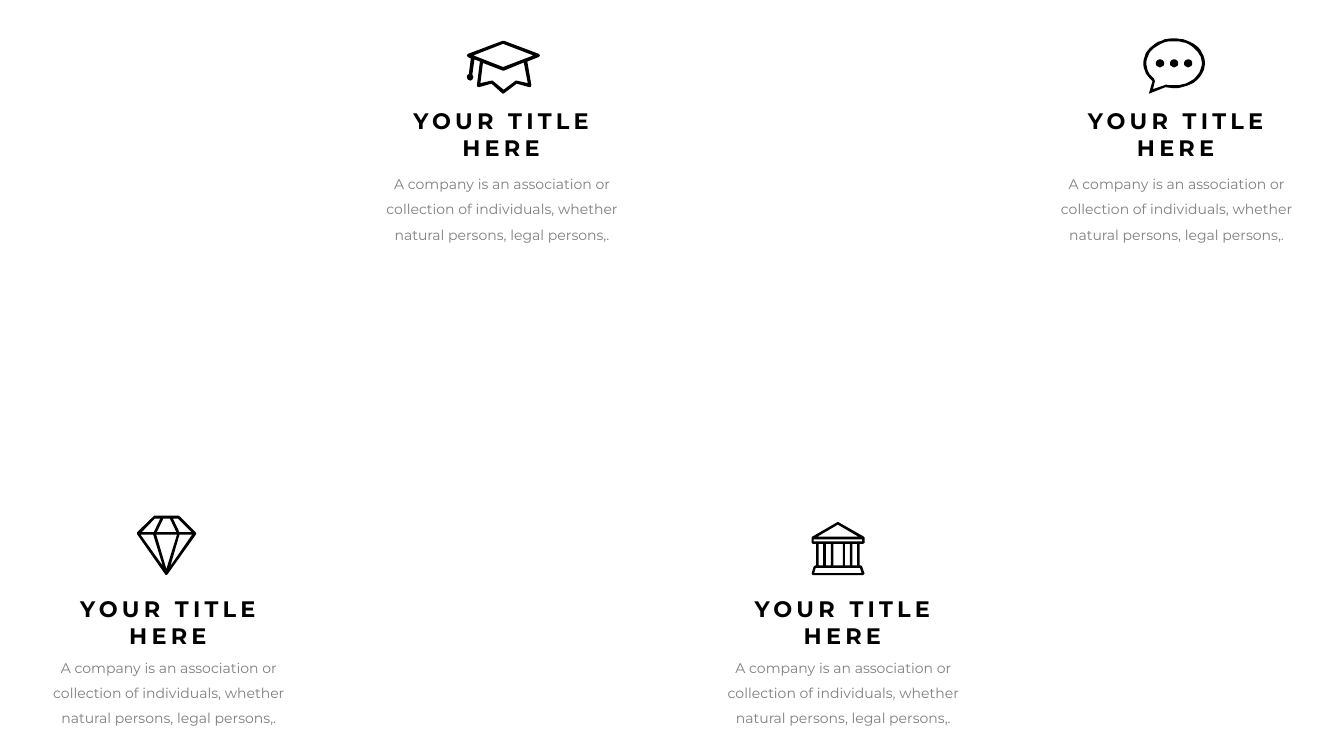
import math
from pptx import Presentation, util as u
from pptx.dml.color import RGBColor
from pptx.enum import text

COLORS = {"ink": "000000", "body": "7F7F7F", "paper": "FFFFFF"}
FONT = "Montserrat"
SLIDE_W, SLIDE_H = 26.66, 15
PAIR_PITCH = 13.38
BODY_W, BODY_H = 5.24, 1.61
TITLE_W, TITLE_H = 3.72, 1.18
ICON_UNIT = 0.01

TITLE = ["YOUR TITLE", "HERE"]
BODY = ["A company is an association or collection of individuals, "
        "whether natural persons, legal persons,."]


def box(left, top, right, bottom):
    return [(left, top), (right, top), (right, bottom), (left, bottom)]


def arc(cx, cy, rx, ry, start=0, end=360, steps=48):
    angles = [math.radians(start + (end - start) * i / steps) for i in range(steps + 1)]
    return [(cx + rx * math.cos(a), cy + ry * math.sin(a)) for a in angles]


GEM = [
    [(117, 35), (116, 33), (85, 2), (82, 0), (34, 0), (32, 2), (0, 33), (0, 37),
     (56, 117), (58, 118), (60, 117), (117, 37)],
    [(66, 100), (84, 38), (109, 38)],
    [(58, 106), (38, 38), (79, 38)],
    [(7, 38), (32, 38), (51, 100)],
    [(35, 6), (46, 6), (33, 33), (9, 33)],
    [(65, 6), (78, 33), (39, 33), (52, 6)],
    [(81, 6), (108, 33), (84, 33), (71, 6)],
]
CAP = [
    [(145, 29), (143, 26), (74, 0), (71, 0), (2, 26), (0, 29), (2, 32), (8, 35),
     (4, 66), (1, 68), (0, 72), (2, 77), (7, 79), (11, 77), (13, 72), (11, 67),
     (15, 37), (26, 41), (20, 88), (21, 91), (24, 92), (49, 85), (70, 104),
     (72, 105), (74, 104), (99, 85), (124, 92), (127, 91), (128, 88), (120, 41),
     (143, 32)],
    [(72, 52), (13, 29), (72, 6), (132, 29)],
    [(121, 84), (99, 79), (97, 79), (73, 97), (51, 79), (49, 79), (27, 84),
     (32, 44), (71, 59), (74, 59), (113, 43)],
]
BANK = [
    [(102, 43), (105, 41), (105, 31), (104, 29), (53, 0), (51, 0), (1, 29), (0, 31),
     (0, 41), (2, 43), (9, 43), (9, 86), (7, 86), (4, 88), (0, 102), (2, 105),
     (102, 105), (105, 102), (100, 88), (98, 86), (95, 86), (95, 43)],
    [(52, 5), (93, 29), (11, 29)],
    box(4, 34, 100, 38),
    [(96, 91), (99, 101), (5, 101), (8, 91)],
] + [box(left, 43, right, 86)
     for left, right in [(14, 23), (28, 38), (43, 62), (66, 76), (81, 90)]]
BUBBLE = [
    arc(61, 49.5, 61, 49.5, 135, 466) + [(11, 110)],
    arc(61, 49.5, 55, 44, 136, 467) + [(19, 101), (23, 85)],
] + [arc(x, 49.5, 8, 8, steps=24) for x in (33, 61, 89)]

ROWS = {
    "top": {"left": 7.34, "icon_bottom": 1.86, "title": 2.08, "body": 3.27},
    "bottom": {"left": 0.73, "icon_bottom": 11.41, "title": 11.76, "body": 12.87},
}
CARDS = [
    {"row": "bottom", "pair": 0, "icon": GEM, "icon_inset": 1.99},
    {"row": "bottom", "pair": 1, "icon": BANK, "icon_inset": 1.99},
    {"row": "top", "pair": 0, "icon": CAP, "icon_inset": 1.92},
    {"row": "top", "pair": 1, "icon": BUBBLE, "icon_inset": 1.96},
]


def add_text(slide, lines, left, top, width, height, size, color,
             bold=False, spacing=None, tracking=0, wrap=True):
    label = slide.shapes.add_textbox(*map(u.Inches, (left, top, width, height)))
    frame = label.text_frame
    frame.word_wrap = wrap
    frame.auto_size = text.MSO_AUTO_SIZE.SHAPE_TO_FIT_TEXT
    for i, line in enumerate(lines):
        paragraph = frame.paragraphs[0] if i == 0 else frame.add_paragraph()
        paragraph.alignment = text.PP_ALIGN.CENTER
        if spacing:
            paragraph.line_spacing = spacing
        run = paragraph.add_run()
        run.text = line
        run.font.name = FONT
        run.font.size = u.Pt(size)
        run.font.bold = bold
        run.font.color.rgb = RGBColor.from_string(COLORS[color])
        if tracking:
            run.font._element.set("spc", str(tracking * 100))


def add_icon(slide, contours, left, bottom):
    height = max(y for contour in contours for _, y in contour)
    builder = slide.shapes.build_freeform(*contours[0][0], scale=u.Inches(ICON_UNIT))
    for i, contour in enumerate(contours):
        if i:
            builder.move_to(*contour[0])
        builder.add_line_segments(contour[1:], close=True)
    icon = builder.convert_to_shape(u.Inches(left), u.Inches(bottom - height * ICON_UNIT))
    icon.shadow.inherit = False
    icon.fill.solid()
    icon.fill.fore_color.rgb = RGBColor.from_string(COLORS["ink"])
    icon.line.fill.background()


def main():
    deck = Presentation()
    deck.slide_width, deck.slide_height = u.Inches(SLIDE_W), u.Inches(SLIDE_H)
    slide = deck.slides.add_slide(deck.slide_layouts[6])
    slide.background.fill.solid()
    slide.background.fill.fore_color.rgb = RGBColor.from_string(COLORS["paper"])
    for card in CARDS:
        row = ROWS[card["row"]]
        left = row["left"] + card["pair"] * PAIR_PITCH
        add_text(slide, BODY, left, row["body"], BODY_W, BODY_H,
                 size=20, color="body", spacing=1.5)
        add_text(slide, TITLE, left + 0.74, row["title"], TITLE_W, TITLE_H,
                 size=32, color="ink", bold=True, tracking=6, wrap=False)
        add_icon(slide, card["icon"], left + card["icon_inset"], row["icon_bottom"])
    deck.save("out.pptx")


if __name__ == "__main__":
    main()
